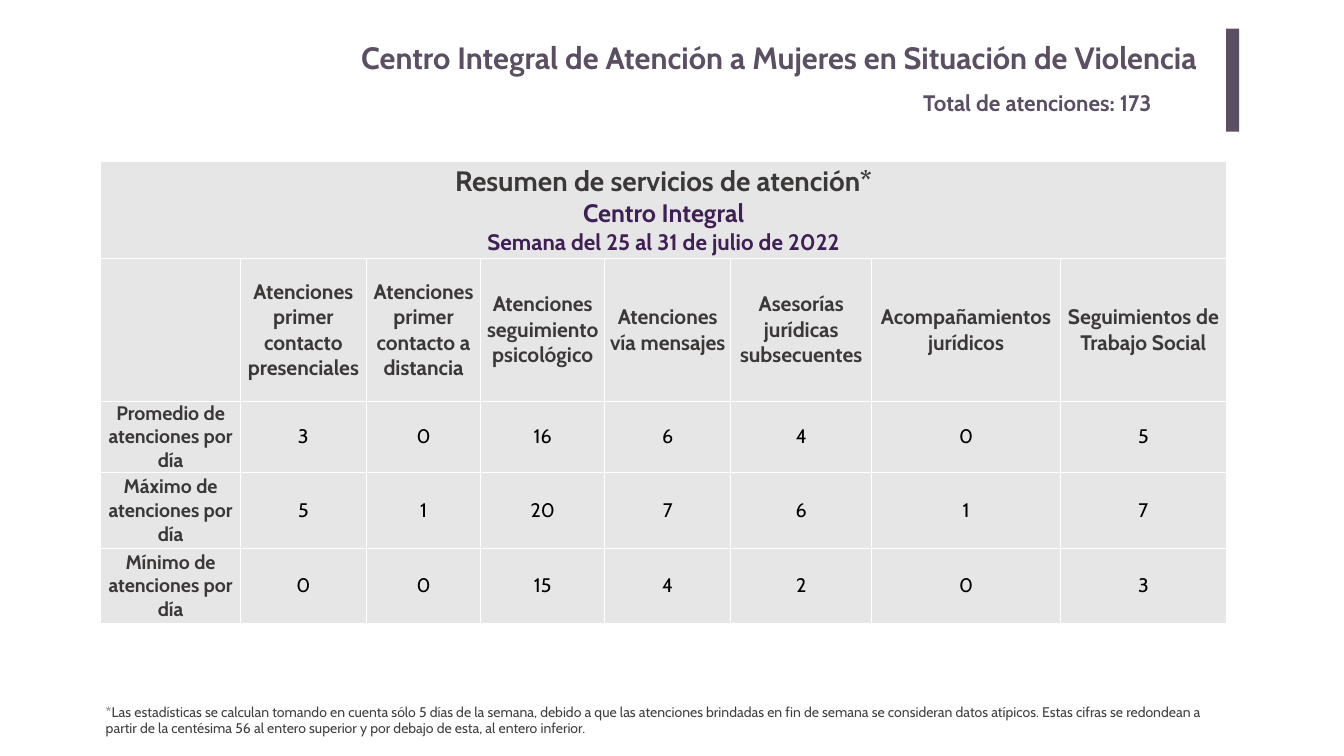
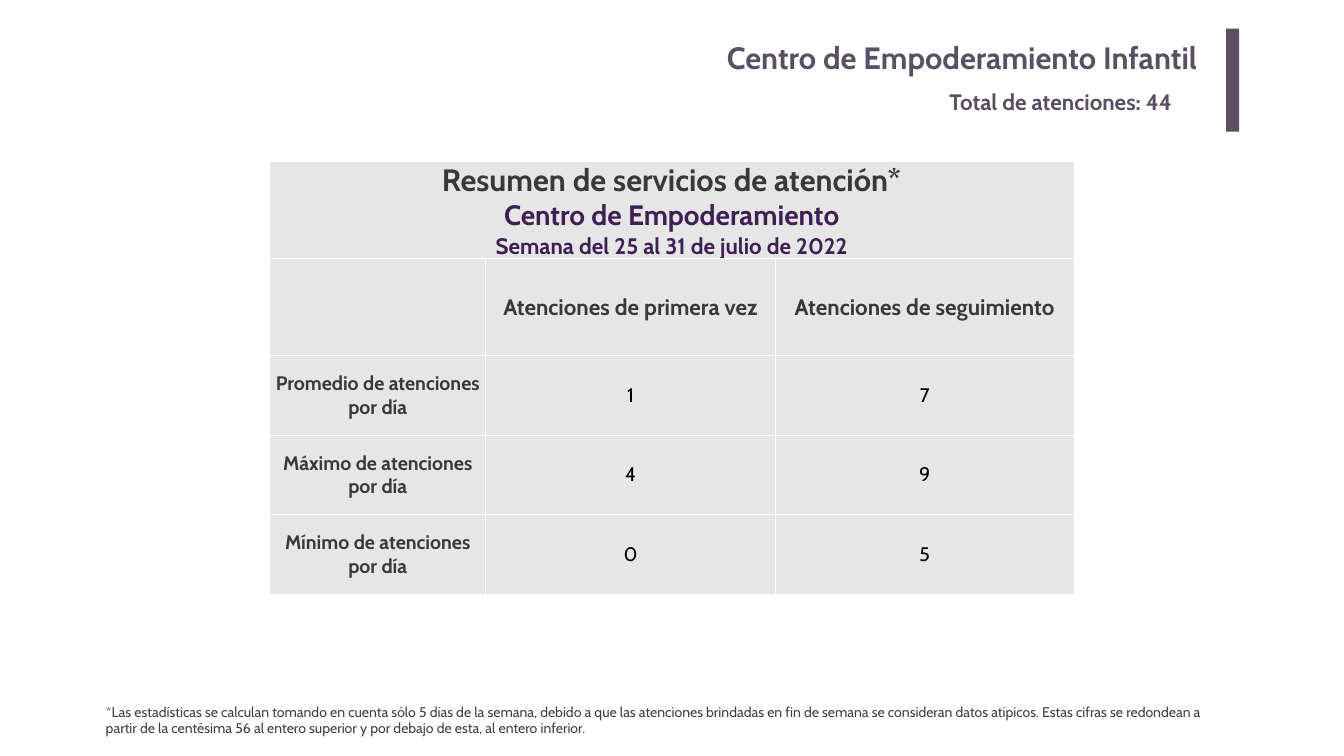
from dataclasses import dataclass

from lxml.etree import SubElement
from pptx import Presentation
from pptx.dml.color import RGBColor
from pptx.enum.shapes import MSO_SHAPE
from pptx.enum.text import MSO_ANCHOR, PP_ALIGN
from pptx.oxml.ns import qn
from pptx.slide import Slide
from pptx.table import _Cell
from pptx.text.text import TextFrame
from pptx.util import Pt

EMU_PER_PX = 9144
FONT = "Cabin"
COLORS = {
    "accent": "5B4F63",
    "heading": "3B3838",
    "purple": "3E2054",
    "value": "000000",
    "note": "404040",
    "cell": "E7E6E6",
    "border": "FFFFFF",
}
WEEK = "Semana del 25 al 31 de julio de 2022"
ROW_LABELS = [f"{name} de atenciones por día" for name in ("Promedio", "Máximo", "Mínimo")]
FOOTNOTE = (
    "*Las estadísticas se calculan tomando en cuenta sólo 5 días de la semana, "
    "debido a que las atenciones brindadas en fin de semana se consideran datos atípicos. "
    "Estas cifras se redondean a partir de la centésima 56 al entero superior "
    "y por debajo de esta, al entero inferior."
)


@dataclass(frozen=True)
class Box:
    left: int
    top: int
    width: int
    height: int

    def emu(self) -> list[int]:
        return [px(value) for value in (self.left, self.top, self.width, self.height)]


@dataclass(frozen=True)
class Summary:
    title: str
    total: int
    total_box: Box
    center: str
    heading_sizes: tuple[int, int, int]
    left: int
    top: int
    column_widths: list[int]
    row_heights: list[int]
    header_size: int
    headers: list[str]
    values: list[list[int]]


TITLE_BOX = Box(366, 67, 2030, 102)
BAR_BOX = Box(2433, 57, 26, 204)
FOOTNOTE_BOX = Box(200, 1390, 2233, 77)

SUMMARIES = [
    Summary(
        title="Centro Integral de Atención a Mujeres en Situación de Violencia",
        total=173,
        total_box=Box(1822, 171, 592, 64),
        center="Centro Integral",
        heading_sizes=(40, 36, 32),
        left=200,
        top=321,
        column_widths=[277, 250, 227, 246, 250, 280, 374, 330],
        row_heights=[192, 283, 119, 150, 150],
        header_size=30,
        headers=[
            "Atenciones primer contacto presenciales",
            "Atenciones primer contacto a distancia",
            "Atenciones seguimiento psicológico",
            "Atenciones vía mensajes",
            "Asesorías jurídicas subsecuentes",
            "Acompañamientos jurídicos",
            "Seguimientos de Trabajo Social",
        ],
        values=[
            [3, 0, 16, 6, 4, 0, 5],
            [5, 1, 20, 7, 6, 1, 7],
            [0, 0, 15, 4, 2, 0, 3],
        ],
    ),
    Summary(
        title="Centro de Empoderamiento Infantil",
        total=44,
        total_box=Box(1874, 169, 528, 64),
        center="Centro de Empoderamiento",
        heading_sizes=(44, 40, 32),
        left=535,
        top=320,
        column_widths=[429, 575, 592],
        row_heights=[192, 192, 158, 158, 158],
        header_size=32,
        headers=["Atenciones de primera vez", "Atenciones de seguimiento"],
        values=[[1, 7], [4, 9], [0, 5]],
    ),
]


def px(value: int) -> int:
    return value * EMU_PER_PX


def rgb(name: str) -> RGBColor:
    return RGBColor.from_string(COLORS[name])


def write_text(
    frame: TextFrame,
    text: str,
    *,
    size: int,
    color: str,
    bold: bool = True,
    align: PP_ALIGN = PP_ALIGN.CENTER,
) -> None:
    paragraph = frame.add_paragraph() if frame.text else frame.paragraphs[0]
    paragraph.alignment = align
    run = paragraph.add_run()
    run.text = text
    run.font.name = FONT
    run.font.size = Pt(size)
    run.font.bold = bold
    run.font.color.rgb = rgb(color)


def add_text_frame(slide: Slide, box: Box, margin_x: int = 10, margin_y: int = 5) -> TextFrame:
    frame = slide.shapes.add_textbox(*box.emu()).text_frame
    frame.word_wrap = True
    frame.margin_left = frame.margin_right = px(margin_x)
    frame.margin_top = frame.margin_bottom = px(margin_y)
    return frame


def style_cell(cell: _Cell) -> None:
    cell.margin_left = cell.margin_right = cell.margin_top = cell.margin_bottom = 0
    cell.vertical_anchor = MSO_ANCHOR.MIDDLE
    properties = cell._tc.get_or_add_tcPr()
    for side in ("lnL", "lnR", "lnT", "lnB"):
        line = SubElement(properties, qn(f"a:{side}"), w=str(Pt(1)))
        fill = SubElement(line, qn("a:solidFill"))
        SubElement(fill, qn("a:srgbClr"), val=COLORS["border"])
    cell.fill.solid()
    cell.fill.fore_color.rgb = rgb("cell")


def add_summary_table(slide: Slide, summary: Summary) -> None:
    widths, heights = summary.column_widths, summary.row_heights
    box = Box(summary.left, summary.top, sum(widths), sum(heights))
    table = slide.shapes.add_table(len(heights), len(widths), *box.emu()).table
    table.first_row = table.horz_banding = False
    for column, width in zip(table.columns, widths):
        column.width = px(width)
    for row, height in zip(table.rows, heights):
        row.height = px(height)
    for cell in table.iter_cells():
        style_cell(cell)

    heading = table.cell(0, 0)
    heading.merge(table.cell(0, len(widths) - 1))
    lines = ("Resumen de servicios de atención*", summary.center, WEEK)
    for text, size, color in zip(lines, summary.heading_sizes, ("heading", "purple", "purple")):
        write_text(heading.text_frame, text, size=size, color=color)

    for column_index, header in enumerate(summary.headers, 1):
        frame = table.cell(1, column_index).text_frame
        write_text(frame, header, size=summary.header_size, color="heading")
    for row_index, (label, values) in enumerate(zip(ROW_LABELS, summary.values), 2):
        write_text(table.cell(row_index, 0).text_frame, label, size=28, color="heading")
        for column_index, value in enumerate(values, 1):
            frame = table.cell(row_index, column_index).text_frame
            write_text(frame, str(value), size=28, color="value", bold=False)


def add_title_band(slide: Slide, summary: Summary) -> None:
    title = add_text_frame(slide, TITLE_BOX, margin_x=20, margin_y=10)
    write_text(title, summary.title, size=44, color="accent", align=PP_ALIGN.RIGHT)
    bar = slide.shapes.add_shape(MSO_SHAPE.RECTANGLE, *BAR_BOX.emu())
    bar.shadow.inherit = False
    bar.fill.solid()
    bar.fill.fore_color.rgb = rgb("accent")
    bar.line.fill.background()
    total = add_text_frame(slide, summary.total_box)
    text = f"Total de atenciones: {summary.total}"
    write_text(total, text, size=32, color="accent", align=PP_ALIGN.LEFT)


def add_footnote(slide: Slide) -> None:
    frame = add_text_frame(slide, FOOTNOTE_BOX)
    write_text(frame, FOOTNOTE, size=20, color="note", bold=False, align=PP_ALIGN.LEFT)


def main() -> None:
    presentation = Presentation()
    presentation.slide_width = px(2667)
    presentation.slide_height = px(1500)
    for summary in SUMMARIES:
        slide = presentation.slides.add_slide(presentation.slide_layouts[6])
        add_summary_table(slide, summary)
        add_title_band(slide, summary)
        add_footnote(slide)
    presentation.save("out.pptx")


if __name__ == "__main__":
    main()
